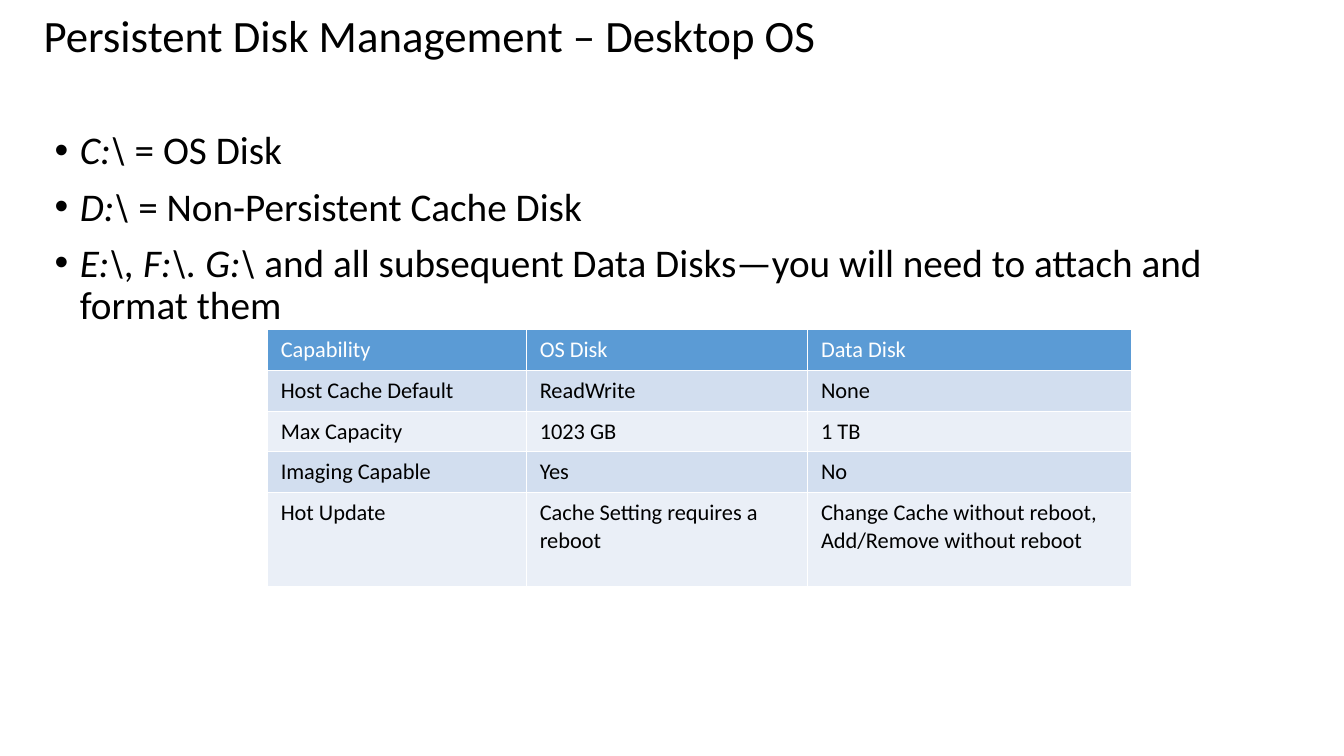
from lxml.etree import SubElement
from pptx import Presentation
from pptx.dml.color import RGBColor
from pptx.enum.text import MSO_ANCHOR
from pptx.oxml.ns import qn
from pptx.util import Pt

TITLE = "Persistent Disk Management – Desktop OS"
DRIVES = [
    ("C:\\ ", "= OS Disk"),
    ("D:\\ ", "= Non-Persistent Cache Disk"),
    ("E:\\, F:\\. G:\\ ",
     "and all subsequent Data Disks—you will need to attach and format them"),
]
CAPABILITIES = [
    ("Capability", "OS Disk", "Data Disk"),
    ("Host Cache Default", "ReadWrite", "None"),
    ("Max Capacity", "1023 GB", "1 TB"),
    ("Imaging Capable", "Yes", "No"),
    ("Hot Update", "Cache Setting requires a reboot",
     "Change Cache without reboot,\nAdd/Remove without reboot"),
]
COLUMN_WIDTHS = (185, 200.9, 231.5)
ROW_HEIGHTS = (29.1, 29.1, 29.1, 29.1, 67)


def color(value):
    return RGBColor.from_string(value)


def add_text(paragraph, text, size=16, ink="000000", italic=False, font="Calibri"):
    run = paragraph.add_run()
    run.text = text
    run.font.name = font
    run.font.size = Pt(size)
    run.font.italic = italic
    run.font.color.rgb = color(ink)


def add_bullet(paragraph, indent):
    properties = paragraph._p.get_or_add_pPr()
    properties.set("marL", str(Pt(indent)))
    properties.set("indent", str(-Pt(indent)))
    SubElement(properties, qn("a:buFont"), typeface="Arial")
    SubElement(properties, qn("a:buChar"), char="•")


def add_borders(cell, width=1, ink="FFFFFF"):
    properties = cell._tc.get_or_add_tcPr()
    for position, side in enumerate(("lnL", "lnR", "lnT", "lnB")):
        line = SubElement(properties, qn(f"a:{side}"), w=str(Pt(width)))
        fill = SubElement(line, qn("a:solidFill"))
        SubElement(fill, qn("a:srgbClr"), val=ink)
        properties.insert(position, line)


class DiskSlide:
    header_fill = "5B9BD5"
    band_fills = ("EAEFF7", "D2DEEF")

    def __init__(self, presentation):
        self.slide = presentation.slides.add_slide(presentation.slide_layouts[6])

    def frame(self, left, top, width, height, anchor):
        box = self.slide.shapes.add_textbox(Pt(left), Pt(top), Pt(width), Pt(height))
        box.text_frame.word_wrap = True
        box.text_frame.vertical_anchor = anchor
        return box.text_frame

    def title(self, text, *bounds):
        heading = self.frame(*bounds, MSO_ANCHOR.MIDDLE).paragraphs[0]
        heading.line_spacing = 0.9
        add_text(heading, text, size=32)

    def drive_list(self, drives, *bounds):
        body = self.frame(*bounds, MSO_ANCHOR.TOP)
        for index, (letters, purpose) in enumerate(drives):
            item = body.add_paragraph() if index else body.paragraphs[0]
            add_bullet(item, 18)
            item.line_spacing = 0.9
            if index:
                item.space_before = Pt(10)
            add_text(item, letters, size=28, italic=True)
            add_text(item, purpose, size=28)

    def table(self, rows, left, top, widths, heights):
        grid = self.slide.shapes.add_table(
            len(rows), len(widths), Pt(left), Pt(top),
            Pt(sum(widths)), Pt(sum(heights))).table
        for column, width in zip(grid.columns, widths):
            column.width = Pt(width)
        for index, (row, height, texts) in enumerate(zip(grid.rows, heights, rows)):
            row.height = Pt(height)
            for cell, text in zip(row.cells, texts):
                self.fill_cell(cell, text, index)

    def fill_cell(self, cell, text, row_index):
        is_header = row_index == 0
        cell.margin_left = cell.margin_right = Pt(9.6)
        cell.margin_top = cell.margin_bottom = Pt(4.8)
        cell.fill.solid()
        cell.fill.fore_color.rgb = color(
            self.header_fill if is_header else self.band_fills[row_index % 2])
        add_borders(cell)
        for index, line in enumerate(text.split("\n")):
            frame = cell.text_frame
            paragraph = frame.add_paragraph() if index else frame.paragraphs[0]
            add_text(paragraph, line, ink="FFFFFF" if is_header else "000000")


def main():
    presentation = Presentation()
    presentation.slide_width, presentation.slide_height = Pt(960), Pt(540)
    slide = DiskSlide(presentation)
    slide.title(TITLE, 24, 0, 888, 54)
    slide.drive_list(DRIVES, 32, 90, 880, 390)
    slide.table(CAPABILITIES, 191, 235.5, COLUMN_WIDTHS, ROW_HEIGHTS)
    presentation.save("out.pptx")


if __name__ == "__main__":
    main()
